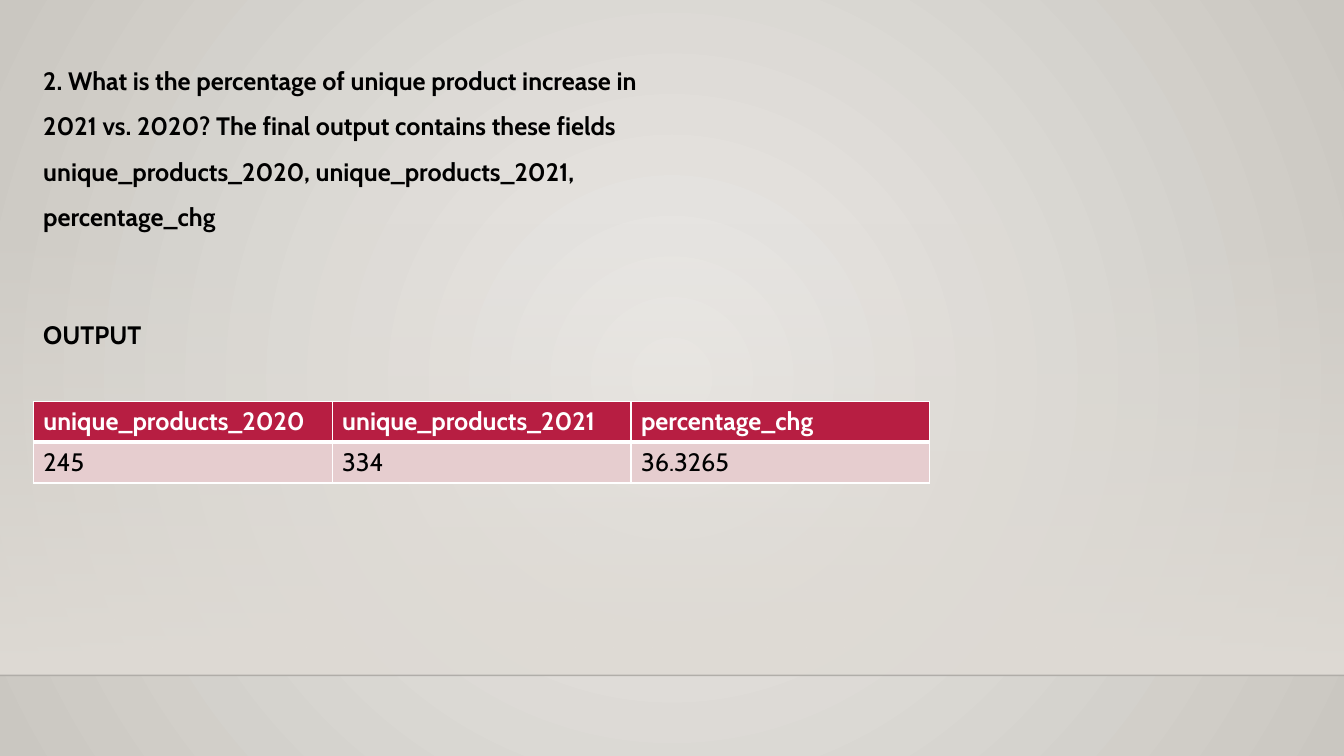
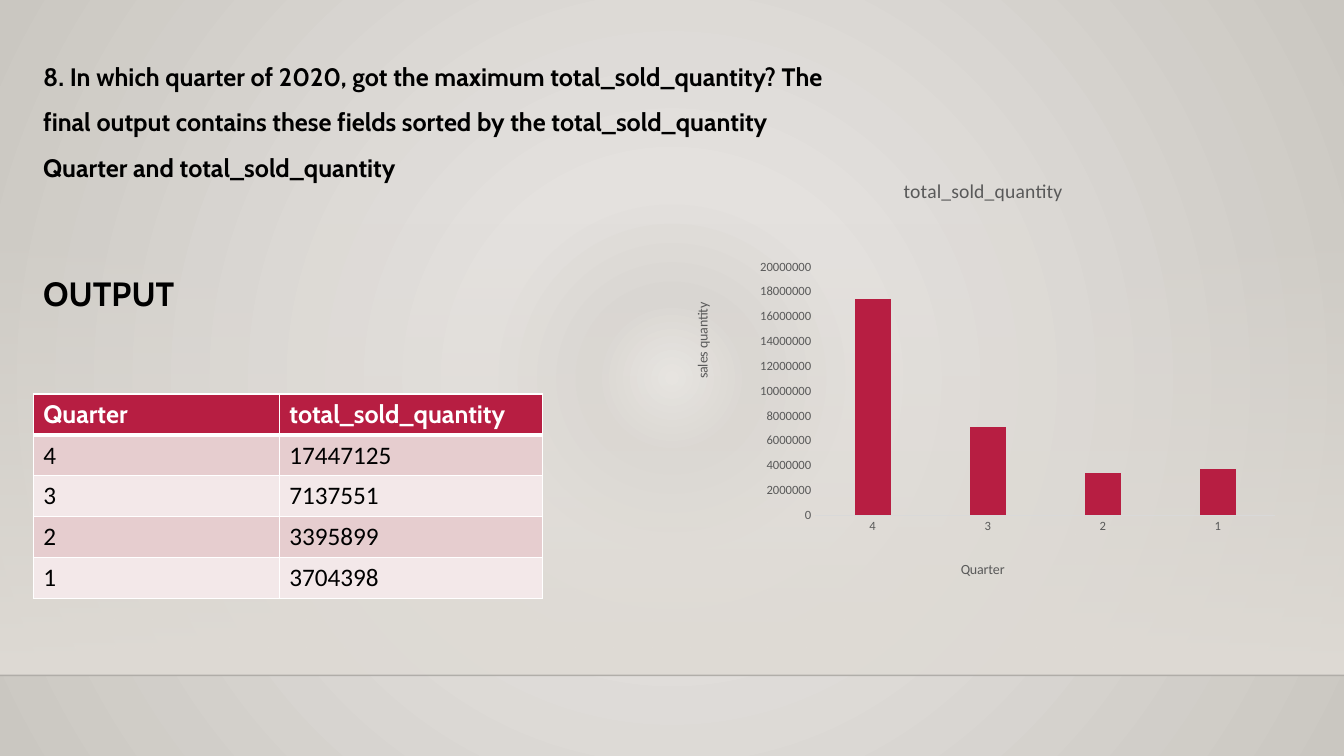
from dataclasses import dataclass

from lxml.etree import SubElement
from pptx import Presentation
from pptx.chart.data import CategoryChartData
from pptx.dml.color import RGBColor
from pptx.enum.chart import XL_CHART_TYPE, XL_TICK_MARK
from pptx.enum.shapes import MSO_CONNECTOR, MSO_SHAPE
from pptx.enum.text import MSO_ANCHOR, MSO_AUTO_SIZE
from pptx.oxml import parse_xml
from pptx.oxml.ns import nsdecls, qn
from pptx.util import Cm, Pt

# Shared look
BLACK = RGBColor(0x00, 0x00, 0x00)
WHITE = RGBColor(0xFF, 0xFF, 0xFF)
CRIMSON = RGBColor(0xB7, 0x1E, 0x42)
ROW_COLORS = (RGBColor(0xE6, 0xCD, 0xCF), RGBColor(0xF3, 0xE8, 0xE9))
GRAY = RGBColor(0x59, 0x59, 0x59)
AXIS_GRAY = RGBColor(0xD9, 0xD9, 0xD9)
FLOOR = RGBColor(0xDF, 0xDB, 0xD5)
LIGHT = RGBColor(0xEC, 0xEA, 0xE7)
DARK = RGBColor(0xCA, 0xC7, 0xC1)
RING_DARK = RGBColor(0xD9, 0xD6, 0xD2)
RING_LIGHT = RGBColor(0xE4, 0xE1, 0xDE)
HEADING_FONT = "Cabin"
BODY_FONT = "Calibri"
WIDTH, HEIGHT = Cm(33.87), Cm(19.05)
LEFT = 0.84
FLOOR_TOP, FLOOR_LINE = 5.61, 17.02
ROW_HEIGHT = 1.03
RADIAL = ('<a:path path="circle"><a:fillToRect l="50000" t="50000" '
          'r="50000" b="50000"/></a:path>')
DOWNWARD = '<a:lin ang="5400000" scaled="0"/>'


@dataclass(frozen=True)
class Box:
    """Position and size in centimetres."""
    left: float
    top: float
    width: float
    height: float

    def lengths(self) -> tuple:
        return Cm(self.left), Cm(self.top), Cm(self.width), Cm(self.height)


@dataclass(frozen=True)
class Stop:
    """Gradient stop; position and opacity in percent."""
    position: int
    color: RGBColor
    opacity: int = 100


@dataclass(frozen=True)
class Label:
    text: str
    box: Box
    size: int = 18
    spacing: float = 1.0


@dataclass(frozen=True)
class Grid:
    top: float
    columns: tuple
    rows: tuple
    body_font: str = HEADING_FONT
    anchor: MSO_ANCHOR = MSO_ANCHOR.TOP


def set_gradient(fill, element, stops: tuple, direction: str) -> None:
    fill.gradient()
    old = element.find(".//" + qn("a:gradFill"))
    stop_xml = "".join(
        f'<a:gs pos="{stop.position * 1000}"><a:srgbClr val="{stop.color}">'
        f'<a:alpha val="{stop.opacity * 1000}"/></a:srgbClr></a:gs>'
        for stop in stops)
    old.getparent().replace(old, parse_xml(
        f'<a:gradFill {nsdecls("a")} rotWithShape="1">'
        f'<a:gsLst>{stop_xml}</a:gsLst>{direction}</a:gradFill>'))


def write_text(text_frame, text: str, *, size: float = 18, color: RGBColor = BLACK,
               font: str = HEADING_FONT, bold: bool = False,
               spacing: float = 1.0) -> None:
    paragraph = text_frame.paragraphs[0]
    paragraph.line_spacing = spacing
    run = paragraph.add_run()
    run.text = text
    run.font.size = Pt(size)
    run.font.name = font
    run.font.bold = bold
    run.font.color.rgb = color


def add_backdrop(slide, stops: tuple) -> None:
    set_gradient(slide.background.fill, slide.element, stops, RADIAL)
    # Floor band
    band = slide.shapes.add_shape(
        MSO_SHAPE.RECTANGLE, 0, Cm(FLOOR_TOP), WIDTH, Cm(FLOOR_LINE - FLOOR_TOP))
    band.shadow.inherit = False
    band.line.fill.background()
    set_gradient(band.fill, band.element,
                 (Stop(0, FLOOR, 0), Stop(100, FLOOR)), DOWNWARD)
    # Floor line
    line = slide.shapes.add_connector(
        MSO_CONNECTOR.STRAIGHT, 0, Cm(FLOOR_LINE), WIDTH, Cm(FLOOR_LINE))
    line.line.width = Pt(1)
    line.line.color.rgb = BLACK
    color = line.element.find(".//" + qn("a:srgbClr"))
    SubElement(color, qn("a:alpha")).set("val", "20000")
    SubElement(line.element.spPr, qn("a:effectLst"))


def add_label(slide, label: Label) -> None:
    shape = slide.shapes.add_textbox(*label.box.lengths())
    shape.text_frame.word_wrap = True
    shape.text_frame.auto_size = MSO_AUTO_SIZE.SHAPE_TO_FIT_TEXT
    write_text(shape.text_frame, label.text, size=label.size, bold=True,
               spacing=label.spacing)


def add_borders(cell, top: int, bottom: int) -> None:
    properties = cell._tc.get_or_add_tcPr()
    for side, points in (("L", 1), ("R", 1), ("T", top), ("B", bottom)):
        properties.append(parse_xml(
            f'<a:ln{side} {nsdecls("a")} w="{Pt(points)}"><a:solidFill>'
            f'<a:srgbClr val="{WHITE}"/></a:solidFill></a:ln{side}>'))


def add_grid(slide, grid: Grid) -> None:
    box = Box(LEFT, grid.top, sum(grid.columns), ROW_HEIGHT * len(grid.rows))
    table = slide.shapes.add_table(
        len(grid.rows), len(grid.columns), *box.lengths()).table
    for column, width in zip(table.columns, grid.columns):
        column.width = Cm(width)
    for row_index, values in enumerate(grid.rows):
        header = row_index == 0
        for column_index, value in enumerate(values):
            cell = table.cell(row_index, column_index)
            add_borders(cell, top=3 if row_index == 1 else 1,
                        bottom=3 if header else 1)
            cell.fill.solid()
            cell.fill.fore_color.rgb = (
                CRIMSON if header else ROW_COLORS[(row_index - 1) % 2])
            cell.vertical_anchor = MSO_ANCHOR.TOP if header else grid.anchor
            write_text(cell.text_frame, value, bold=header,
                       color=WHITE if header else BLACK,
                       font=HEADING_FONT if header else grid.body_font)


def layout_xml(target: str, mode: str, **places: float):
    modes = "".join(f'<c:{axis}Mode val="edge"/>' for axis in "xy")
    values = "".join(f'<c:{name} val="{value}"/>' for name, value in places.items())
    return parse_xml(f'<c:layout {nsdecls("c")}><c:manualLayout>{target}{modes}'
                     f'{values}</c:manualLayout></c:layout>') if mode == "edge" else None


def place(element, layout) -> None:
    """Give a chart part its manual layout."""
    old = element.find(qn("c:layout"))
    if old is not None:
        element.remove(old)
    text = element.find(qn("c:tx"))
    element.insert(0 if text is None else 1, layout)


def style_axis(axis, title: str, x: float, y: float) -> None:
    axis.has_major_gridlines = False
    axis.major_tick_mark = axis.minor_tick_mark = XL_TICK_MARK.NONE
    font = axis.tick_labels.font
    font.size, font.name, font.color.rgb = Pt(9), BODY_FONT, GRAY
    write_text(axis.axis_title.text_frame, title, size=10, color=GRAY, font=BODY_FONT)
    place(axis.axis_title._element, layout_xml("", "edge", x=x, y=y))


def add_sales_chart(slide, box: Box, name: str, sales: dict) -> None:
    data = CategoryChartData()
    data.categories = list(sales)
    data.add_series(name, list(sales.values()))
    chart = slide.shapes.add_chart(
        XL_CHART_TYPE.COLUMN_CLUSTERED, *box.lengths(), data).chart
    chart.font.size, chart.font.name = Pt(10), BODY_FONT
    chart.has_legend = False
    chart.has_title = True
    write_text(chart.chart_title.text_frame, name, size=14, color=GRAY, font=BODY_FONT)
    chart.chart_title.include_in_layout = False
    # Columns
    plot = chart.plots[0]
    plot.gap_width, plot.overlap = 219, -27
    plot.vary_by_categories = False
    plot.series[0].format.fill.solid()
    plot.series[0].format.fill.fore_color.rgb = CRIMSON
    # Axes
    style_axis(chart.category_axis, "Quarter", 0.46, 0.85)
    chart.category_axis.format.line.color.rgb = AXIS_GRAY
    chart.category_axis.format.line.width = Pt(0.75)
    style_axis(chart.value_axis, "sales quantity", 0.03, 0.3)
    chart.value_axis.format.line.fill.background()
    chart.value_axis.minimum_scale = 0
    chart.value_axis.maximum_scale = 20_000_000
    chart.value_axis.major_unit = 2_000_000
    chart.value_axis.tick_labels.number_format = "0"
    chart.value_axis.tick_labels.number_format_is_linked = False
    plot_area = chart.element.find(".//" + qn("c:plotArea"))
    place(plot_area, layout_xml('<c:layoutTarget val="inner"/>', "edge",
                                x=0.23, y=0.23, w=0.74, h=0.53))


def build_product_slide(slide) -> None:
    add_backdrop(slide, (Stop(0, LIGHT), Stop(100, DARK)))
    add_label(slide, Label(
        "2. What is the percentage of unique product increase in 2021 vs. 2020? "
        "The final output contains these fields unique_products_2020, "
        "unique_products_2021, percentage_chg",
        Box(LEFT, 1.14, 15.5, 4.75), spacing=1.5))
    add_grid(slide, Grid(10.11, (7.53,) * 3, (
        ("unique_products_2020", "unique_products_2021", "percentage_chg"),
        ("245", "334", "36.3265"))))
    add_label(slide, Label("OUTPUT", Box(LEFT, 7.92, 16.93, 1.02)))


def build_quarter_slide(slide) -> None:
    add_backdrop(slide, (Stop(0, LIGHT), Stop(10, RING_DARK),
                         Stop(25, RING_LIGHT), Stop(100, DARK)))
    add_label(slide, Label(
        "8. In which quarter of 2020, got the maximum total_sold_quantity? "
        "The final output contains these fields sorted by the total_sold_quantity "
        "Quarter and total_sold_quantity",
        Box(LEFT, 1.04, 20.8, 3.61), spacing=1.5))
    add_label(slide, Label("OUTPUT", Box(LEFT, 6.76, 4.17, 1.27), size=24))
    add_grid(slide, Grid(9.93, (6.2, 6.63), (
        ("Quarter", "total_sold_quantity"), ("4", "17447125"), ("3", "7137551"),
        ("2", "3395899"), ("1", "3704398")), BODY_FONT, MSO_ANCHOR.MIDDLE))
    add_sales_chart(slide, Box(16.94, 4.01, 15.67, 11.81), "total_sold_quantity",
                    {"4": 17_400_000, "3": 7_100_000, "2": 3_400_000, "1": 3_700_000})


def main() -> None:
    presentation = Presentation()
    presentation.slide_width, presentation.slide_height = WIDTH, HEIGHT
    blank = presentation.slide_layouts[6]
    for build in (build_product_slide, build_quarter_slide):
        build(presentation.slides.add_slide(blank))
    presentation.save("out.pptx")


if __name__ == "__main__":
    main()
